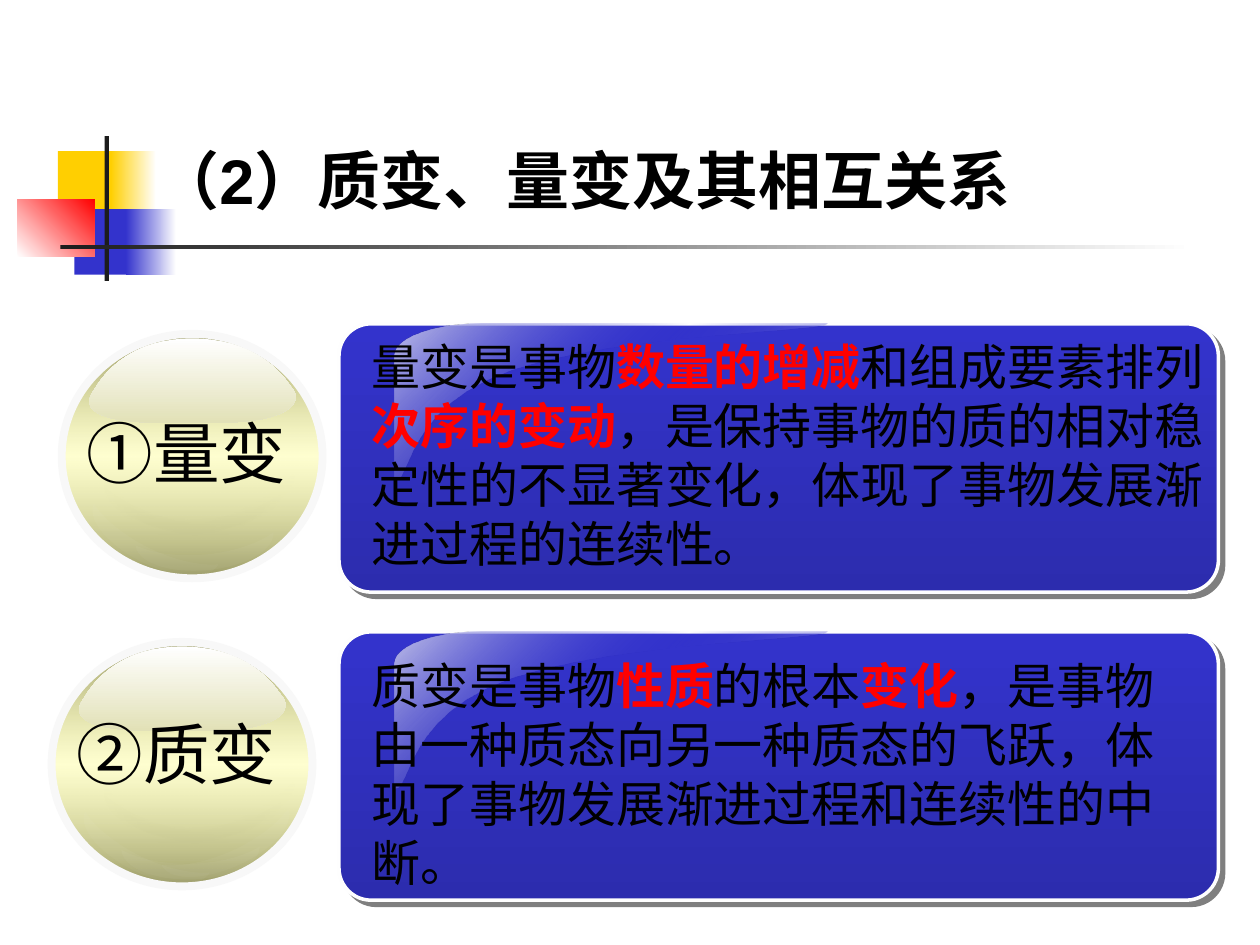
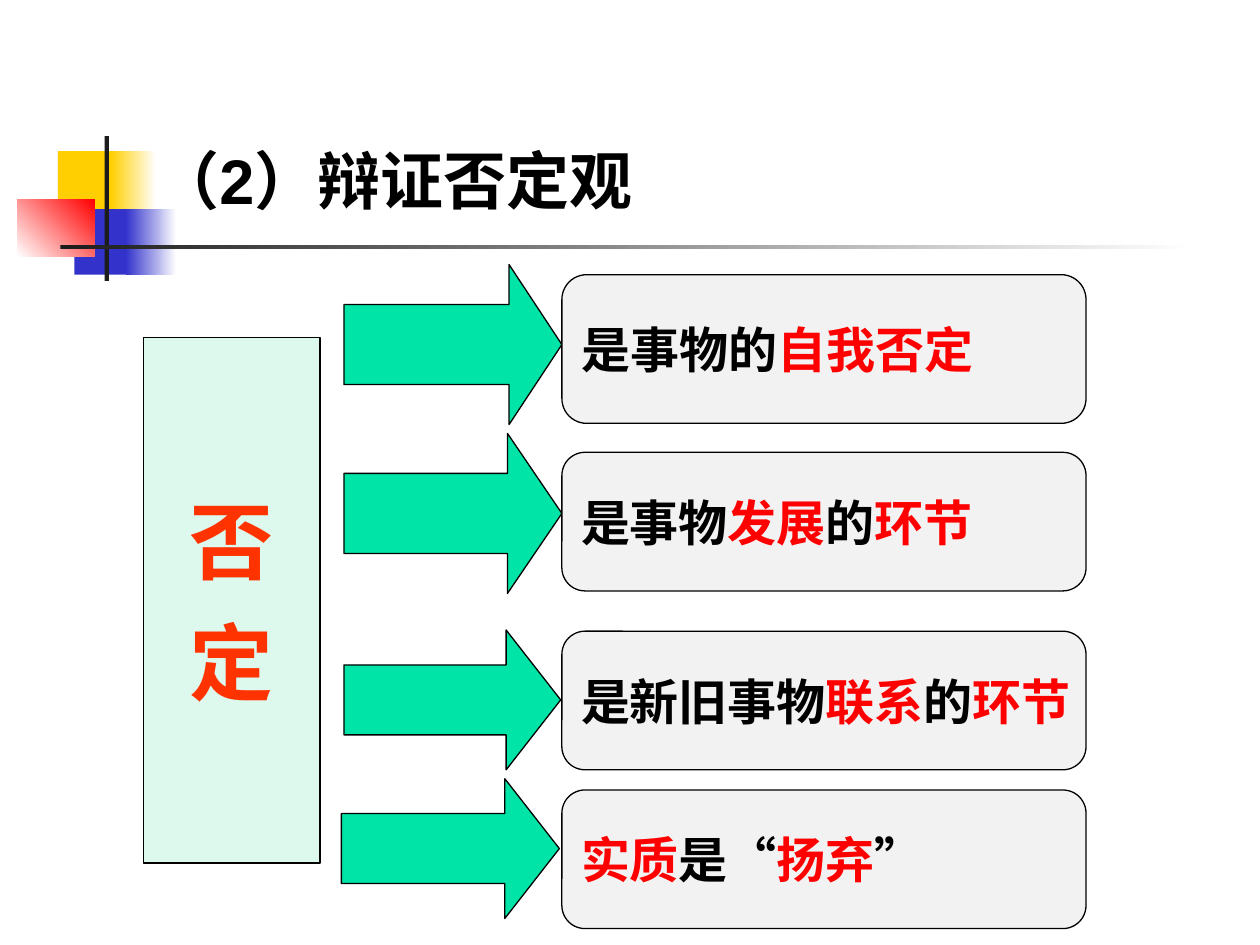
import pptx
import pptx.util
import pptx.oxml
import pptx.oxml.ns
import pptx.dml.color
import pptx.enum.lang
import pptx.enum.shapes
import pptx.enum.text

SHAPE = pptx.enum.shapes.MSO_SHAPE
ALIGN = pptx.enum.text.PP_ALIGN
ANCHOR = pptx.enum.text.MSO_ANCHOR
CJK = "Noto Sans CJK SC"
WIDE, HIGH = 10, 7.5
COLS = 100
CELL = pptx.util.Inches(WIDE) / COLS

HUE = {
    "white": "FFFFFF", "black": "000000", "ink": "1C1C1C", "gold": "FFCF01",
    "blue": "3333CC", "navy": "2C2CAE", "haze": "C1C1E8", "red": "FF0000",
    "rim": "FEFEFE", "pale": "F8F8F8", "olive": "8F8F56", "cream": "FFFF99",
    "sand": "E2E1B7", "green": "00E4A8", "mint": "DDF9ED", "gray": "F2F2F2",
    "flame": "FF3300",
}

ROW = 24.45
MOONS = [
    (17.9, 35.3, 1.9, 10.6, 66.1), (16.3, 35.8, 1.9, 10.6, 79.7),
    (15.3, 35.9, 1.9, 10.6, 84.6), (14.1, 36, 1.9, 10.6, 93.5),
    (14.8, 35.9, 1.9, 10.6, 88.7), (13.1, 36, 1.9, 10.6, 102.2),
    (12.1, 35.8, 1.9, 10.6, 107.2), (10.8, 36.4, 2.3, 9, 116),
]
GLOSS = [
    [(0.2, 0), (0.09, 0), (0, 0.09), (0, 0.2)],
    [(0, 0.98), (0.04, 1), (0.02, 0.52), (0.27, 0.29)],
    [(0.27, 0.29), (0.52, 0.06), (1, 0.05), (0.99, 0)],
]
CAP = [
    [(0.98, 0.57), (1.05, 0.75), (0.98, 1), (0.62, 1)],
    [(0.35, 1), (0.05, 1), (-0.05, 0.85), (0.02, 0.62)],
    [(0.02, 0.62), (0.12, 0.2), (0.3, 0), (0.5, 0)],
    [(0.5, 0), (0.7, 0), (0.88, 0.2), (0.98, 0.57)],
]


def grid(*cells):
    return [round(cell * CELL) for cell in cells]


def rgb(name):
    return pptx.dml.color.RGBColor.from_string(HUE[name])


def clear(share):
    return f'<a:alpha val="{share * 1000}"/>'


def xml(tag, attrs, body):
    return pptx.oxml.parse_xml(
        f'<a:{tag} {pptx.oxml.ns.nsdecls("a")} {attrs}>{body}</a:{tag}>')


def blend(shape, stops, angle):
    shape.fill.gradient()
    old = shape.element.find(".//" + pptx.oxml.ns.qn("a:gradFill"))
    marks = "".join(
        f'<a:gs pos="{pos * 1000}"><a:srgbClr val="{HUE[name]}">'
        f'{clear(share)}</a:srgbClr></a:gs>' for pos, name, share in stops)
    body = f'<a:gsLst>{marks}</a:gsLst><a:lin ang="{angle * 60000}" scaled="0"/>'
    old.getparent().replace(old, xml("gradFill", 'rotWithShape="1"', body))


def paint(shape, fill, angle=0, line=None, width=0.75):
    shape.shadow.inherit = False
    if isinstance(fill, str):
        shape.fill.solid()
        shape.fill.fore_color.rgb = rgb(fill)
    else:
        blend(shape, fill, angle)
    if line:
        shape.line.color.rgb = rgb(line)
        shape.line.width = pptx.util.Pt(width)
    else:
        shape.line.fill.background()
    return shape


def block(slide, kind, box, fill, adj=(), **look):
    shape = slide.shapes.add_shape(kind, *grid(*box))
    for spot, value in enumerate(adj):
        shape.adjustments[spot] = value
    return paint(shape, fill, **look)


def curve(ends, steps=12):
    for step in range(steps + 1):
        t = step / steps
        parts = ((1 - t) ** 3, 3 * t * (1 - t) ** 2, 3 * t * t * (1 - t), t ** 3)
        yield tuple(sum(k * end[axis] for k, end in zip(parts, ends))
                    for axis in (0, 1))


def blob(slide, box, curves, fill, angle):
    left, top, wide, high = grid(*box)
    dots = [(round(left + x * wide), round(top + y * high))
            for ends in curves for x, y in curve(ends)]
    pen = slide.shapes.build_freeform(*dots[0])
    pen.add_line_segments(dots[1:], close=True)
    return paint(pen.convert_to_shape(), fill, angle)


def text(shape, words, size=28, font=CJK, color="black", accent="red",
         bold=False, strong=True, wrap=True, align=ALIGN.LEFT,
         anchor=ANCHOR.MIDDLE, pitch=None, gap=0, inset=0.05):
    frame = shape.text_frame
    frame.word_wrap = wrap
    frame.vertical_anchor = anchor
    frame.margin_top = pptx.util.Inches(inset)
    for row, line in enumerate(words.split("\n")):
        para = frame.add_paragraph() if row else frame.paragraphs[0]
        para.alignment = align
        para.space_before = pptx.util.Pt(gap if row else 0)
        if pitch:
            para.line_spacing = pptx.util.Pt(pitch)
        for turn, part in enumerate(line.split("*")):
            if not part:
                continue
            run = para.add_run()
            run.text = part
            face = run.font
            face.size = pptx.util.Pt(size)
            face.name = font
            face.bold = strong if turn % 2 else bold
            face.color.rgb = rgb(accent if turn % 2 else color)
            face.language_id = pptx.enum.lang.MSO_LANGUAGE_ID.SIMPLIFIED_CHINESE
            face.fill.fore_color.rgb = rgb(accent if turn % 2 else color)
            latin = run.font._element.find(pptx.oxml.ns.qn("a:latin"))
            latin.addnext(xml("ea", f'typeface="{CJK}"', ""))


def note(slide, box, words, **look):
    text(slide.shapes.add_textbox(*grid(*box)), words, **look)


def fade(name):
    return [(0, name, 100), (100, "white", 100)]


def decor(slide, layout):
    for box, fill, angle in (
            ((4.6, 12, 4.8, 5.2), "gold", 0),
            ((8.8, 12, 3.6, 5.2), fade("gold"), 0),
            ((5.9, 16.6, 4.6, 5.2), "blue", 0),
            ((10, 16.6, 4, 5.2), fade("blue"), 0),
            ((1.4, 15.8, 6.1, 4.6), [(0, "white", 100), (100, "red", 100)], 315),
            ((8.3, 10.8, 0.35, 11.5), "ink", 0),
            ((4.8, 19.45, 90, 0.35), fade("ink"), 0)):
        shape = block(slide, SHAPE.RECTANGLE, box, fill, angle=angle)
        layout.shapes.element.append(shape.element)
    title = layout.placeholders[0]
    title.left, title.top, title.width, title.height = grid(11.4, 10.7, 82.7, 7.1)


def head(slide, words):
    text(slide.shapes.title, words, size=36, font="Arial", bold=True)


def moon(slide, left, top, wide, high, turn):
    shape = block(slide, SHAPE.MOON, (left, top, wide, high), "pale", adj=[0.5])
    shape.rotation = turn + 180
    tint = shape.element.find(".//" + pptx.oxml.ns.qn("a:solidFill"))[0]
    tint.append(xml("alpha", 'val="4000"', ""))


def card(slide, down, box, words):
    shape = block(slide, SHAPE.ROUNDED_RECTANGLE, (26.9, 25.7 + down, 69.8, 21.3),
                  [(0, "blue", 100), (100, "navy", 100)], adj=[0.12],
                  angle=90, line="rim", width=2)
    glow = shape.element.find(".//" + pptx.oxml.ns.qn("a:effectLst"))
    glow.append(xml("outerShdw", 'blurRad="0" dist="53340" dir="2700000"',
                    f'<a:srgbClr val="{HUE["black"]}">{clear(50)}</a:srgbClr>'))
    blob(slide, (31.3, 25.7 + down, 34.7, 12.7), GLOSS,
         [(0, "haze", 100), (50, "blue", 0), (100, "haze", 100)], 45)
    note(slide, box, words, anchor=ANCHOR.TOP, pitch=33.7, inset=0.1)
    for left, top, wide, high, turn in MOONS:
        moon(slide, left, top + down, wide, high, turn)


def ball(slide, left, top, words, lift, moons):
    block(slide, SHAPE.OVAL, (left, top, 20.7, 19.4),
          [(0, "olive", 90), (50, "cream", 45), (100, "olive", 90)],
          angle=90, line="pale", width=4.5)
    blob(slide, (left + 2.2, top + 0.35, 16.3, 6.7), CAP,
         [(0, "white", 100), (100, "sand", 100)], 90)
    for x, y, turn in moons:
        moon(slide, left + x, top + y, 2.5, 11, turn)
    note(slide, (left + 1, top + lift, 18, 7.4), words,
         size=38, font="Arial", wrap=False)


def change(slide):
    head(slide, "（2）质变、量变及其相互关系")
    card(slide, 0, (28.5, 25.7, 68.2, 20.5),
         "量变是事物*数量的增减*和组成要素排列*次序的变动*，是保持事物的质的"
         "相对稳定性的不显著变化，体现了事物发展渐进过程的连续性。")
    card(slide, ROW, (28.5, 51, 67.4, 19.9),
         "质变是事物*性质*的根本*变化*，是事物由一种质态向另一种质态的飞跃，"
         "体现了事物发展渐进过程和连续性的中断。")
    ball(slide, 4.1, 26.5 + ROW, "②质变", 5.1,
         [(13, 11.1, 66.1), (9.8, 12.1, 88.7), (5.8, 11.5, 116)])
    ball(slide, 4.9, 26.5, "①量变", 5.7, [(10.2, 12, 84.6), (5.7, 11.5, 116)])


def negate(slide):
    head(slide, "（2）辩证否定观")
    points = (
        ((27.3, 21, 17.3, 12.7), 0.33, 21.8, 11.8, "是事物的*自我否定*"),
        ((27.3, 34.4, 17.3, 12.7), 0.34, 35.9, 11, "是事物*发展*的*环节*"),
        ((27.3, 50, 17.2, 11.1), 0.39, 50.1, 11, "是新旧事物*联系*的*环节*"),
        ((27.1, 61.8, 17.3, 11.1), 0.39, 62.7, 11, "*实质*是“*扬弃*”"),
    )
    for arrow, tip, top, high, words in points:
        block(slide, SHAPE.RIGHT_ARROW, arrow, "green", adj=[0.5, tip], line="black")
        panel = block(slide, SHAPE.FLOWCHART_ALTERNATE_PROCESS,
                      (44.6, top, 41.6, high), "gray", line="black")
        text(panel, words, font="Times New Roman", bold=True, wrap=False)
    pillar = block(slide, SHAPE.RECTANGLE, (11.4, 26.8, 14, 41.7), "mint", line="black")
    text(pillar, "否\n定", size=48, color="flame", bold=True,
         align=ALIGN.CENTER, gap=12)


def main():
    deck = pptx.Presentation()
    deck.slide_width = pptx.util.Inches(WIDE)
    deck.slide_height = pptx.util.Inches(HIGH)
    layout = deck.slide_layouts[5]
    first, second = [deck.slides.add_slide(layout) for _ in range(2)]
    decor(first, layout)
    change(first)
    negate(second)
    deck.save("out.pptx")


if __name__ == "__main__":
    main()
